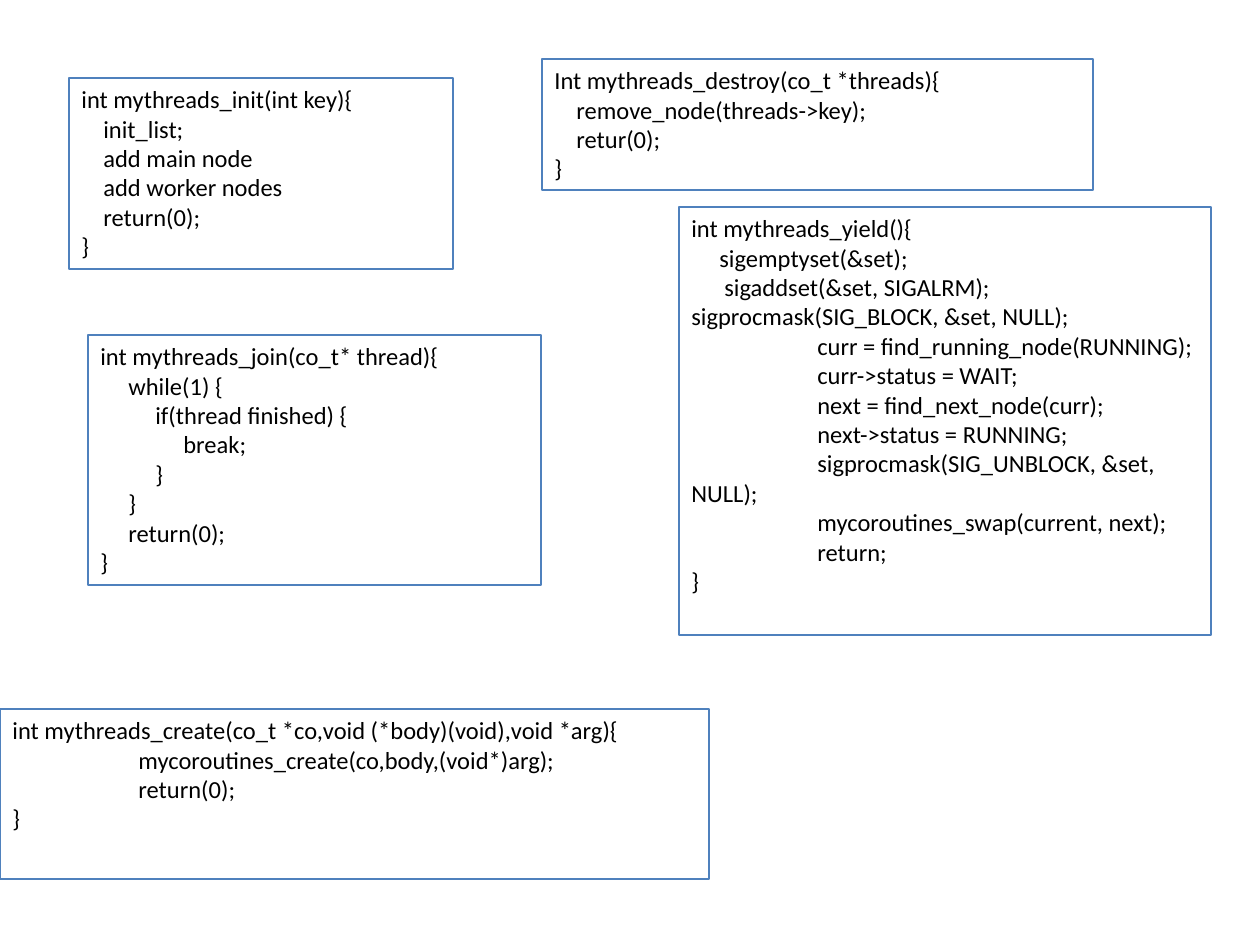
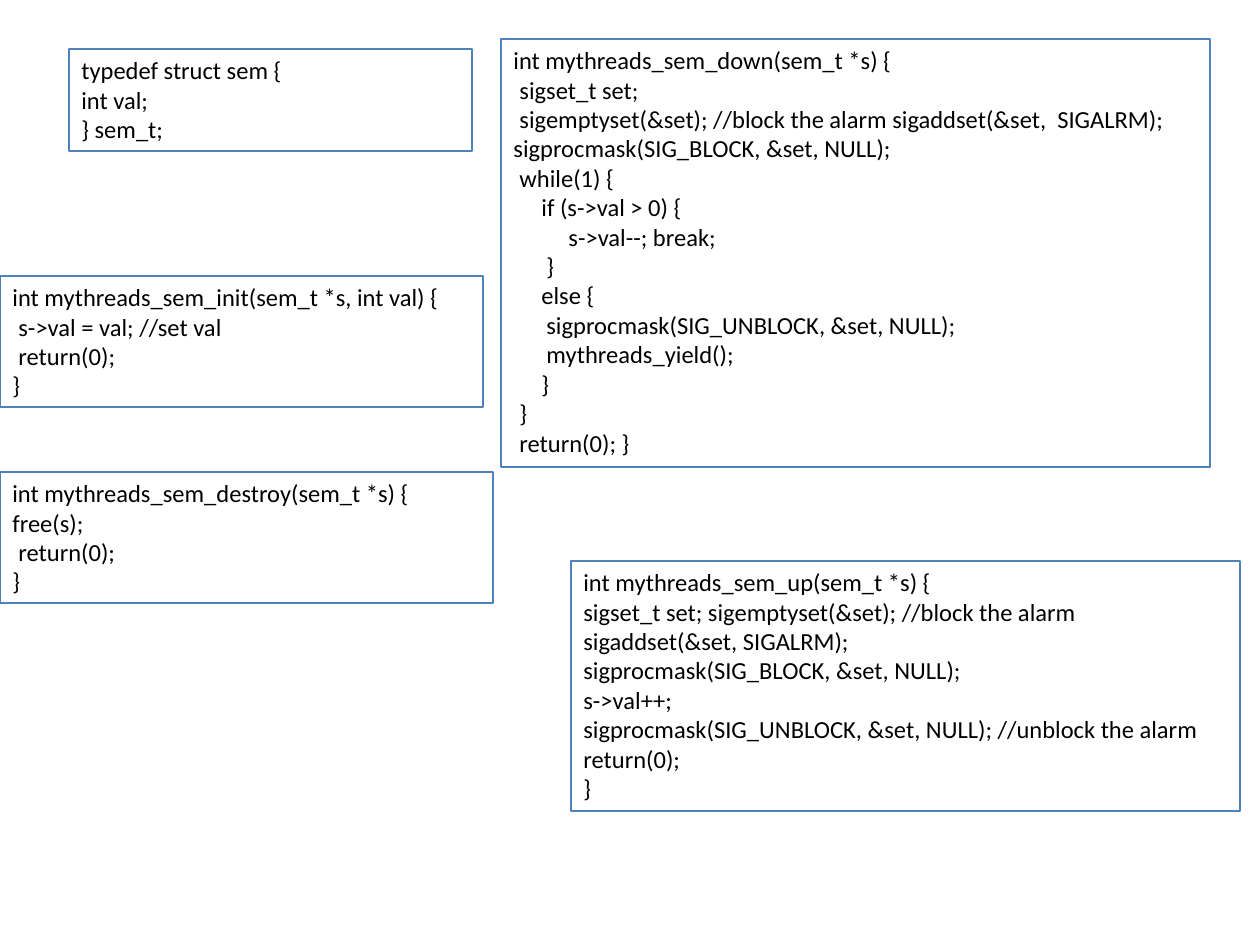
from pptx import Presentation
from pptx.dml.color import RGBColor as RGB
from pptx.enum.shapes import MSO_SHAPE as SHAPE
from pptx.enum.text import MSO_ANCHOR as ANCHOR, MSO_AUTO_SIZE as FIT, PP_ALIGN as ALIGN
from pptx.util import Pt

EMU_PER_PX = 914400 / 126
SLIDE_W, SLIDE_H = 1260, 945
COLORS = {"border": "4F81BD", "text": "000000"}
FONT, SIZE = "Calibri", Pt(14)
TAB = 126

INIT = [(0, "int mythreads_init(int key){"), (22, "init_list;"), (22, "add main node"),
        (22, "add worker nodes"), (22, "return(0);"), (0, "}")]
JOIN = [(0, "int mythreads_join(co_t* thread){"), (28, "while(1) {"),
        (55, "if(thread finished) {"), (83, "break;"), (55, "}"), (28, "}"),
        (28, "return(0);"), (0, "}")]
DESTROY = [(0, "Int mythreads_destroy(co_t *threads){"),
           (22, "remove_node(threads->key);"), (22, "retur(0);"), (0, "}")]
CREATE = [(0, "int mythreads_create(co_t *co,void (*body)(void),void *arg){"),
          (TAB, "mycoroutines_create(co,body,(void*)arg);"), (TAB, "return(0);"), (0, "}")]
YIELD = [(0, "int mythreads_yield(){"), (28, "sigemptyset(&set);"),
         (33, "sigaddset(&set, SIGALRM);\tsigprocmask(SIG_BLOCK, &set, NULL);"),
         (TAB, "curr = find_running_node(RUNNING);"), (TAB, "curr->status = WAIT;"),
         (TAB, "next = find_next_node(curr);"), (TAB, "next->status = RUNNING;"),
         (TAB, "sigprocmask(SIG_UNBLOCK, &set, NULL);"),
         (TAB, "mycoroutines_swap(current, next);"), (TAB, "return;"), (0, "}")]

SEM_INIT = [(0, "int mythreads_sem_init(sem_t *s, int val) {"),
            (6, "s->val = val; //set val"), (6, "return(0);"), (0, "}")]
SEM_TYPE = [(0, "typedef struct sem {"), (0, "int val;"), (0, "} sem_t;")]
SEM_UP = [(0, "int mythreads_sem_up(sem_t *s) {"),
          (0, "sigset_t set; sigemptyset(&set); //block the alarm"),
          (0, "sigaddset(&set, SIGALRM);"), (0, "sigprocmask(SIG_BLOCK, &set, NULL);"),
          (0, "s->val++;"),
          (0, "sigprocmask(SIG_UNBLOCK, &set, NULL); //unblock the alarm"),
          (0, "return(0);"), (0, "}")]
SEM_DOWN = [(0, "int mythreads_sem_down(sem_t *s) {"), (6, "sigset_t set;"),
            (6, "sigemptyset(&set); //block the alarm sigaddset(&set,  SIGALRM); "
                "sigprocmask(SIG_BLOCK, &set, NULL);"),
            (6, "while(1) {"), (28, "if (s->val > 0) {"), (55, "s->val--; break;"),
            (33, "}"), (28, "else {"), (33, "sigprocmask(SIG_UNBLOCK, &set, NULL);"),
            (33, "mythreads_yield();"), (28, "}"), (6, "}"), (6, "return(0); }")]
SEM_DESTROY = [(0, "int mythreads_sem_destroy(sem_t *s) {"), (0, "free(s);"),
               (6, "return(0);"), (0, "}")]

THREADS = [((69, 78, 384, 191), INIT), ((88, 335, 453, 250), JOIN),
           ((542, 59, 551, 131), DESTROY), ((0, 709, 709, 170), CREATE),
           ((679, 207, 532, 428), YIELD)]
SEMAPHORES = [((0, 276, 483, 131), SEM_INIT), ((69, 49, 403, 102), SEM_TYPE),
              ((571, 561, 669, 250), SEM_UP), ((501, 39, 709, 428), SEM_DOWN),
              ((0, 472, 493, 131), SEM_DESTROY)]


def px(n):
    """Turn pixels into EMU."""
    return round(n * EMU_PER_PX)


def add_code_line(p, indent, text):
    """Write one line of code with a first-line indent."""
    p.alignment = ALIGN.LEFT
    p._p.get_or_add_pPr().set("indent", str(px(indent)))
    r = p.add_run()
    r.text = text
    r.font.name, r.font.size = FONT, SIZE
    r.font.color.rgb = RGB.from_string(COLORS["text"])


def add_code_box(s, box, lines):
    """Draw an outlined box that holds a function's code."""
    sp = s.shapes.add_shape(SHAPE.RECTANGLE, *map(px, box))
    sp.shadow.inherit = False
    sp.fill.background()
    sp.line.color.rgb = RGB.from_string(COLORS["border"])
    sp.line.width = Pt(0.75)
    tf = sp.text_frame
    tf.word_wrap = True
    tf.auto_size = FIT.NONE
    tf.vertical_anchor = ANCHOR.TOP
    for i, (indent, text) in enumerate(lines):
        add_code_line(tf.add_paragraph() if i else tf.paragraphs[0], indent, text)


def add_code_slide(prs, blocks):
    """Add a blank slide with its code boxes."""
    s = prs.slides.add_slide(prs.slide_layouts[6])
    for box, lines in blocks:
        add_code_box(s, box, lines)


def main():
    """Build and save the presentation."""
    prs = Presentation()
    prs.slide_width, prs.slide_height = px(SLIDE_W), px(SLIDE_H)
    for blocks in (THREADS, SEMAPHORES):
        add_code_slide(prs, blocks)
    prs.save("out.pptx")


if __name__ == "__main__":
    main()
